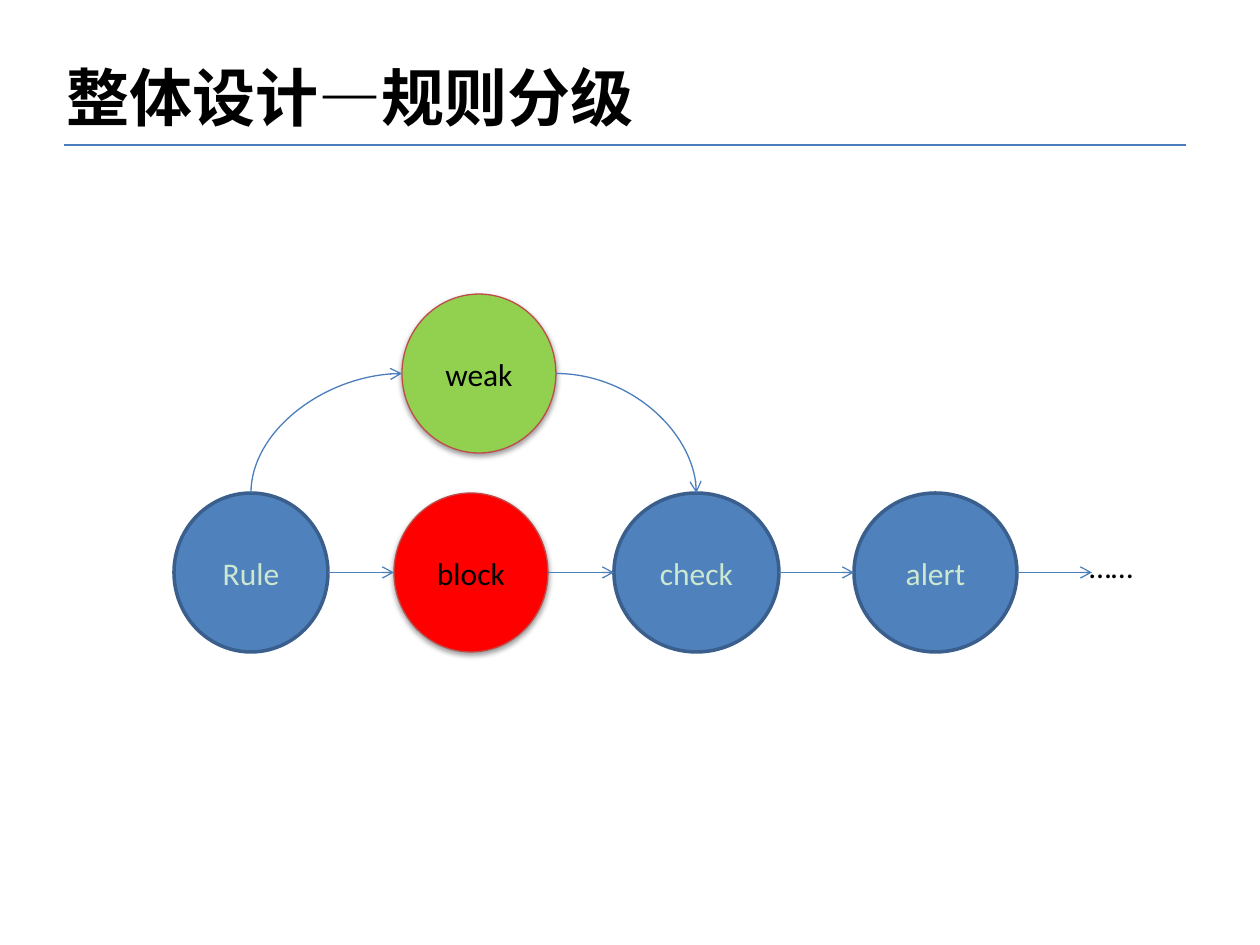
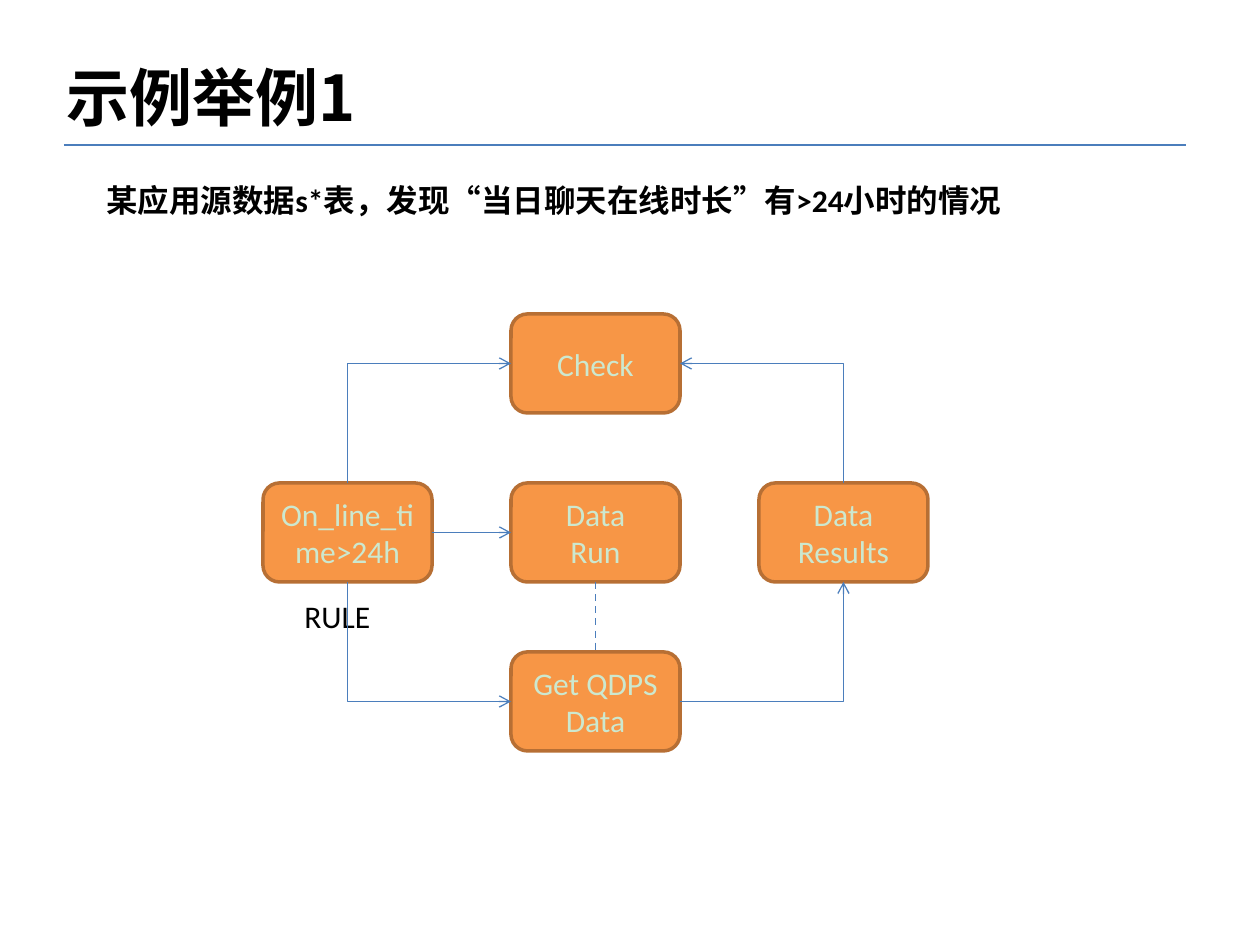
from dataclasses import dataclass

from lxml import etree
from pptx import Presentation
from pptx.dml.color import RGBColor
from pptx.enum.dml import MSO_LINE
from pptx.enum.shapes import MSO_CONNECTOR, MSO_SHAPE
from pptx.enum.text import MSO_ANCHOR, MSO_AUTO_SIZE, PP_ALIGN
from pptx.oxml.ns import qn
from pptx.util import Pt

PX = 914400 / 126
TITLE_ONLY = 5
LEFT, CENTER = PP_ALIGN.LEFT, PP_ALIGN.CENTER
TOP, MIDDLE = MSO_ANCHOR.TOP, MSO_ANCHOR.MIDDLE
STRAIGHT, BENT, CURVED = MSO_CONNECTOR.STRAIGHT, MSO_CONNECTOR.ELBOW, MSO_CONNECTOR.CURVE
CIRCLE, ROUNDED = MSO_SHAPE.FLOWCHART_CONNECTOR, MSO_SHAPE.ROUNDED_RECTANGLE
DASH = MSO_LINE.DASH
CORNER_PRESETS = {BENT: "bentConnector2", CURVED: "curvedConnector2"}
# Each side: connection order, horizontal and vertical share of the shape
SIDES = {"top": (0, 0.5, 0), "left": (1, 0, 0.5), "bottom": (2, 0.5, 1), "right": (3, 1, 0.5)}


@dataclass(frozen=True)
class Theme:
    black: str = "000000"
    pale: str = "CCE8CF"
    link: str = "4B7EBC"
    blue: str = "4F81BD"
    blue_edge: str = "3A5F8C"
    red: str = "FF0000"
    green: str = "92D050"
    red_edge: str = "BF4C48"
    orange: str = "F79646"
    orange_edge: str = "B76F34"
    latin: str = "Calibri"
    chinese: str = "Noto Sans CJK SC"
    title_size: int = 36
    body_size: int = 18


THEME = Theme()


@dataclass
class Port:
    """A connector end, with the shape and site it is glued to."""
    x: int
    y: int
    shape: object = None
    site: int = 0


def px(value):
    return round(value * PX)


def rgb(value):
    return RGBColor.from_string(value)


# ---- Text ----
def write(frame, text, size=THEME.body_size, color=THEME.black, font=THEME.latin,
          bold=False, align=LEFT, anchor=TOP, wrap=True):
    frame.word_wrap = wrap
    frame.auto_size = MSO_AUTO_SIZE.NONE
    frame.vertical_anchor = anchor
    for index, line in enumerate(text.split("\n")):
        para = frame.add_paragraph() if index else frame.paragraphs[0]
        para.alignment = align
        span = para.add_run()
        span.text = line
        span.font.size = Pt(size)
        span.font.bold = bold
        span.font.name = font
        span.font.color.rgb = rgb(color)
        latin = span.font._element.find(qn("a:latin"))
        east_asian = etree.Element(qn("a:ea"), typeface=THEME.chinese)
        latin.addnext(east_asian)


def add_label(page, text, left, top, width, height, **text_format):
    box = page.shapes.add_textbox(px(left), px(top), px(width), px(height))
    write(box.text_frame, text, **text_format)


# ---- Nodes ----
def add_soft_shadow(shape):
    effects = shape.element.spPr.find(qn("a:effectLst"))
    shadow = etree.SubElement(effects, qn("a:outerShdw"), blurRad="40000", dist="20000",
                              dir="5400000", rotWithShape="0")
    color = etree.SubElement(shadow, qn("a:srgbClr"), val=THEME.black)
    etree.SubElement(color, qn("a:alpha"), val="38000")


def add_node(page, kind, text, left, top, width, height, fill, edge,
             edge_width=2, color=THEME.pale, shadow=False):
    shape = page.shapes.add_shape(kind, px(left), px(top), px(width), px(height))
    shape.fill.solid()
    shape.fill.fore_color.rgb = rgb(fill)
    shape.line.color.rgb = rgb(edge)
    shape.line.width = Pt(edge_width)
    shape.shadow.inherit = False
    if shadow:
        add_soft_shadow(shape)
    write(shape.text_frame, text, color=color, align=CENTER, anchor=MIDDLE)
    return shape


def port(shape, side):
    order, across, down = SIDES[side]
    # Circles have eight sites, boxes four
    site = order * 2 if shape.auto_shape_type == CIRCLE else order
    return Port(round(shape.left + shape.width * across),
                round(shape.top + shape.height * down), shape, site)


# ---- Connectors ----
def style_line(line, width, dash=None, arrow=False):
    line.line.color.rgb = rgb(THEME.link)
    line.line.width = Pt(width)
    if dash:
        line.line.dash_style = dash
    properties = line.element.spPr
    if arrow:
        etree.SubElement(properties.find(qn("a:ln")), qn("a:tailEnd"), type="arrow")
    etree.SubElement(properties, qn("a:effectLst"))


def add_upright_corner(page, kind, start, end):
    """A corner that leaves vertically: a quarter-turned, flipped connector."""
    across, down = end.x - start.x, end.y - start.y
    center_x, center_y = (start.x + end.x) // 2, (start.y + end.y) // 2
    half_width, half_height = abs(down) // 2, abs(across) // 2
    line = page.shapes.add_connector(kind, center_x - half_width, center_y - half_height,
                                     center_x + half_width, center_y + half_height)
    quarter = across > 0 > down
    frame = line.element.spPr.find(qn("a:xfrm"))
    frame.set("rot", str((90 if quarter else 270) * 60000))
    frame.set("flipH", str(int(quarter == (down < 0))))
    frame.set("flipV", str(int(quarter == (across > 0))))
    return line


def link(page, start, end, kind=STRAIGHT, upright=False, width=0.75, dash=None, arrow=True):
    if upright:
        line = add_upright_corner(page, kind, start, end)
    else:
        line = page.shapes.add_connector(kind, start.x, start.y, end.x, end.y)
    if kind in CORNER_PRESETS:
        line.element.spPr.find(qn("a:prstGeom")).set("prst", CORNER_PRESETS[kind])
    glue = line.element.find(".//" + qn("p:cNvCxnSpPr"))
    for tag, place in (("a:stCxn", start), ("a:endCxn", end)):
        if place.shape is not None:
            etree.SubElement(glue, qn(tag), id=str(place.shape.shape_id), idx=str(place.site))
    style_line(line, width, dash, arrow)


# ---- Pages ----
def add_page(deck, title):
    page = deck.slides.add_slide(deck.slide_layouts[TITLE_ONLY])
    box = page.shapes.title
    box.left, box.top, box.width, box.height = px(54), px(52), px(714), px(89)
    write(box.text_frame, title, size=THEME.title_size, font=THEME.chinese, bold=True)
    rule = page.shapes.add_connector(STRAIGHT, px(64), px(145), px(1186), px(145))
    style_line(rule, 1.5)
    return page


def add_rule_levels(deck):
    page = add_page(deck, "整体设计—规则分级")
    row, size = 493, 159
    plain = dict(fill=THEME.blue, edge=THEME.blue_edge)
    raised = dict(edge=THEME.red_edge, edge_width=0.75, color=THEME.black, shadow=True)

    # Main chain with the weak branch above it
    chain = [add_node(page, CIRCLE, text, left, row, width, size, **look)
             for text, left, width, look in (
                 ("Rule", 174, 154, plain),
                 ("block", 394, 154, dict(raised, fill=THEME.red)),
                 ("check", 614, 165, plain),
                 ("alert", 854, 163, plain))]
    weak = add_node(page, CIRCLE, "weak", 402, 294, 154, size, fill=THEME.green, **raised)
    rule, _, check, alert = chain
    for source, target in zip(chain, chain[1:]):
        link(page, port(source, "right"), port(target, "left"))
    link(page, port(rule, "top"), port(weak, "left"), CURVED, upright=True)
    link(page, port(weak, "right"), port(check, "top"), CURVED)

    # Open end of the chain
    last = port(alert, "right")
    link(page, last, Port(px(1092), last.y))
    add_label(page, "……", 1077, 541, 78, 50, wrap=False)


def add_example(deck):
    page = add_page(deck, "示例举例1")
    add_label(page, "某应用源数据s*表，发现“当日聊天在线时长”有>24小时的情况",
              94, 175, 1121, 50, bold=True)

    # Boxes on a grid of three columns and three rows
    def grid_box(text, column, row):
        return add_node(page, ROUNDED, text, 263 + 248 * column, 314 + 169 * row, 169, 99,
                        fill=THEME.orange, edge=THEME.orange_edge)

    check = grid_box("Check", 1, 0)
    rule = grid_box("On_line_time>24h", 0, 1)
    run = grid_box("Data\nRun", 1, 1)
    results = grid_box("Data Results", 2, 1)
    fetch = grid_box("Get QDPS\nData", 1, 2)
    add_label(page, "RULE", 292, 591, 108, 50, wrap=False)

    # Flow
    link(page, port(rule, "right"), port(run, "left"))
    link(page, port(run, "bottom"), port(fetch, "top"), width=1, dash=DASH, arrow=False)
    link(page, port(rule, "bottom"), port(fetch, "left"), BENT, upright=True)
    link(page, port(fetch, "right"), port(results, "bottom"), BENT)
    link(page, port(results, "top"), port(check, "right"), BENT, upright=True)
    link(page, port(rule, "top"), port(check, "left"), BENT, upright=True)


def main():
    deck = Presentation()
    deck.slide_width, deck.slide_height = px(1260), px(945)
    add_rule_levels(deck)
    add_example(deck)
    deck.save("out.pptx")


if __name__ == "__main__":
    main()
